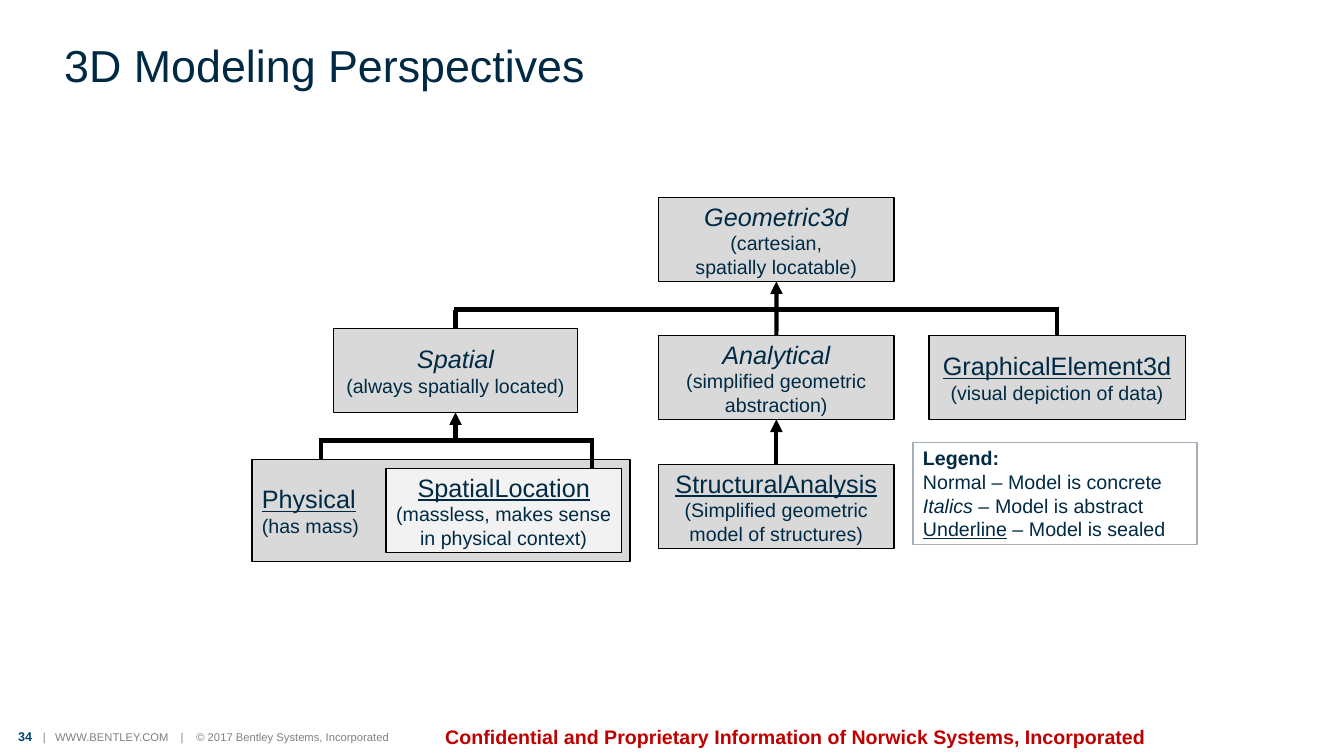
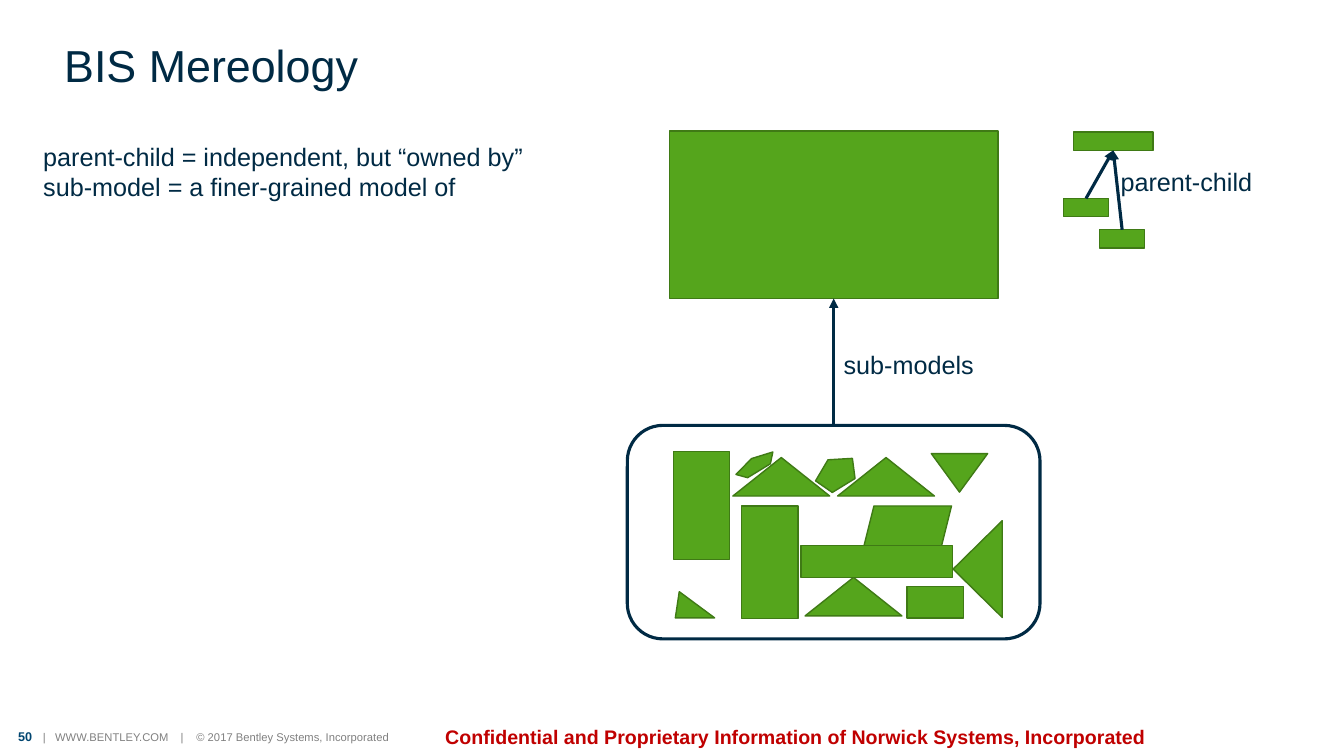
from lxml import etree
from pptx import Presentation
from pptx import util as u
from pptx.dml.color import RGBColor
from pptx.enum import shapes, text
from pptx.oxml import ns


class Theme:
    font = "Arial"
    navy = RGBColor.from_string("002A44")
    black = RGBColor.from_string("000000")
    white = RGBColor.from_string("FFFFFF")
    gray = RGBColor.from_string("D9D9D9")
    pale = RGBColor.from_string("F2F2F2")
    frame = RGBColor.from_string("A6AFB7")
    green = RGBColor.from_string("55A51C")
    green_edge = RGBColor.from_string("3F7A15")
    # Run formats
    title = {"size": u.Pt(32)}
    body = {"size": u.Pt(18)}
    abstract = {"size": u.Pt(18), "italic": True}
    sealed = {"size": u.Pt(18), "underline": True}
    note = {"size": u.Pt(14)}
    note_bold = {"size": u.Pt(14), "bold": True}
    note_italic = {"size": u.Pt(14), "italic": True}
    note_underline = {"size": u.Pt(14), "underline": True}
    number = {"size": u.Pt(9), "bold": True, "color": RGBColor.from_string("004570")}
    footer = {"size": u.Pt(8), "color": RGBColor.from_string("808080")}
    warning = {"size": u.Pt(14), "bold": True, "color": RGBColor.from_string("C00000")}


LEFT, CENTER = text.PP_ALIGN.LEFT, text.PP_ALIGN.CENTER
TOP, MIDDLE = text.MSO_ANCHOR.TOP, text.MSO_ANCHOR.MIDDLE
KIND = shapes.MSO_SHAPE


def block(slide, box, paragraphs=(), kind=None, fill=None, edge=None, weight=1,
          align=LEFT, anchor=TOP, tabs=()):
    """Add a shape, or a text box if no kind is given; box is in centimetres."""
    place = [u.Cm(value) for value in box]
    if kind is None:
        item = slide.shapes.add_textbox(*place)
    else:
        item = slide.shapes.add_shape(kind, *place)
        item.shadow.inherit = False
        if fill is None:
            item.fill.background()
        else:
            item.fill.solid()
            item.fill.fore_color.rgb = fill
        item.line.color.rgb = edge
        item.line.width = u.Pt(weight)
    frame = item.text_frame
    frame.word_wrap = True
    frame.vertical_anchor = anchor
    for index, runs in enumerate(paragraphs):
        paragraph = frame.add_paragraph() if index else frame.paragraphs[0]
        paragraph.alignment = align
        if tabs:
            stops = etree.SubElement(paragraph._p.get_or_add_pPr(), ns.qn("a:tabLst"))
            for stop in tabs:
                etree.SubElement(stops, ns.qn("a:tab"), pos=str(u.Cm(stop)), algn="l")
        for words, style in runs:
            run = paragraph.add_run()
            run.text = words
            run.font.name = Theme.font
            run.font.color.rgb = style.get("color", Theme.navy)
            for name, value in style.items():
                if name != "color":
                    setattr(run.font, name, value)
    return item


def link(slide, begin, end, color, weight, arrow=False, begin_on=None, end_on=None):
    """Draw a straight line in centimetres, joined to (shape, side) where given."""
    line = slide.shapes.add_connector(
        shapes.MSO_CONNECTOR.STRAIGHT, *[u.Cm(value) for value in (*begin, *end)])
    if begin_on:
        line.begin_connect(*begin_on)
    if end_on:
        line.end_connect(*end_on)
    line.line.color.rgb = color
    line.line.width = u.Pt(weight)
    if arrow:
        etree.SubElement(line.line._get_or_add_ln(), ns.qn("a:tailEnd"), type="triangle")
    etree.SubElement(line._element.spPr, ns.qn("a:effectLst"))


deck = Presentation()
deck.slide_width, deck.slide_height = u.Cm(33.87), u.Cm(19.05)

# Title and footers on every slide
slides = []
for number, heading in (("34", "3D Modeling Perspectives"), ("50", "BIS Mereology")):
    slide = deck.slides.add_slide(deck.slide_layouts[6])
    slides.append(slide)
    imprint = block(
        slide, (0.13, 18.19, 15.9, 0.74),
        [[(number, Theme.number),
          ("\t|\tWWW.BENTLEY.COM\t|\t© 2017 Bentley Systems, Incorporated", Theme.footer)]],
        tabs=(0.62, 0.93, 4.09, 4.49))
    for side, inset in {"left": 0.33, "right": 0.33, "top": 0.18, "bottom": 0.18}.items():
        setattr(imprint.text_frame, "margin_" + side, u.Cm(inset))
    block(slide, (10.9, 18.14, 18.31, 0.86),
          [[("Confidential and Proprietary Information of Norwick Systems, Incorporated",
             Theme.warning)]], align=CENTER)
    title = block(slide, (1.37, 0.66, 31.04, 2.11), [[(heading, Theme.title)]], anchor=MIDDLE)
    title.text_frame.paragraphs[0].line_spacing = 0.9

perspectives, mereology = slides

# Model classes
models = {}
for name, style, notes, box, fill, align in (
    ("Geometric3d", Theme.abstract, ["(cartesian,", "spatially locatable)"],
     (16.6, 4.98, 5.93, 2.11), Theme.gray, CENTER),
    ("Spatial", Theme.abstract, ["(always spatially located)"],
     (8.4, 8.28, 6.16, 2.11), Theme.gray, CENTER),
    ("Analytical", Theme.abstract, ["(simplified geometric abstraction)"],
     (16.6, 8.46, 5.93, 2.11), Theme.gray, CENTER),
    ("GraphicalElement3d", Theme.sealed, ["(visual depiction of data)"],
     (23.41, 8.46, 6.46, 2.11), Theme.gray, CENTER),
    ("Physical", Theme.sealed, ["(has mass)"],
     (6.35, 11.58, 9.53, 2.57), Theme.gray, LEFT),
    ("SpatialLocation", Theme.sealed, ["(massless, makes sense in physical context)"],
     (9.73, 11.81, 5.93, 2.11), Theme.pale, CENTER),
    ("StructuralAnalysis", Theme.sealed, ["(Simplified geometric model of structures)"],
     (16.6, 11.71, 5.93, 2.11), Theme.gray, CENTER),
):
    lines = [[(name, style)]] + [[(note, Theme.note)] for note in notes]
    models[name] = block(perspectives, box, lines, KIND.RECTANGLE, fill, Theme.black,
                         align=align, anchor=MIDDLE)

# Inheritance trees: a bus with an arrow to the base and a drop to each subclass
half_line = 0.05
for base, base_x, bus_y, drops in (
    ("Geometric3d", 19.57, 7.8,
     [("Spatial", 11.48), ("Analytical", 19.57), ("GraphicalElement3d", 26.64)]),
    ("Spatial", 11.48, 11.1, [("Physical", 8.08), ("SpatialLocation", 14.91)]),
):
    ends = [x for _, x in drops]
    link(perspectives, (ends[0] - half_line, bus_y), (ends[-1] + half_line, bus_y),
         Theme.black, 3)
    link(perspectives, (base_x, bus_y), (base_x, bus_y), Theme.black, 3, arrow=True,
         end_on=(models[base], 2))
    for name, x in drops:
        centered = bus_y == 7.8
        link(perspectives, (x, bus_y), (x, models[name].top.cm), Theme.black, 3,
             end_on=(models[name], 0) if centered else None)
link(perspectives, (19.57, 11.71), (19.57, 10.57), Theme.black, 3, arrow=True,
     begin_on=(models["StructuralAnalysis"], 0), end_on=(models["Analytical"], 2))

# Legend
block(perspectives, (23.01, 11.15, 7.16, 2.57), [
    [("Legend:", Theme.note_bold)],
    [("Normal", Theme.note), (" – ", Theme.note_italic), ("Model is concrete", Theme.note)],
    [("Italics – ", Theme.note_italic), ("Model is abstract", Theme.note)],
    [("Underline", Theme.note_underline), (" – ", Theme.note_italic),
     ("Model is sealed", Theme.note)],
], KIND.RECTANGLE, Theme.white, Theme.frame, anchor=MIDDLE)

# Whole element and the sub-model frame
whole = block(mereology, (16.87, 3.3, 8.28, 4.22), (), KIND.RECTANGLE,
              Theme.green, Theme.green_edge)
submodel = block(mereology, (15.81, 10.72, 10.4, 5.38), (), KIND.ROUNDED_RECTANGLE,
                 None, Theme.navy, 2.25)
link(mereology, (21.01, 10.72), (21.01, 7.52), Theme.navy, 2.25, arrow=True,
     begin_on=(submodel, 0), end_on=(whole, 2))

# Finer-grained pieces: kind, box, rotation, adjustment
for kind, box, rotation, adjustment in (
    (KIND.RECTANGLE, (16.97, 11.38, 1.42, 2.72), 0, None),
    (KIND.ISOSCELES_TRIANGLE, (18.47, 11.53, 2.44, 0.97), 0, None),
    (KIND.ISOSCELES_TRIANGLE, (21.11, 11.53, 2.44, 0.97), 0, None),
    (KIND.REGULAR_PENTAGON, (20.52, 11.53, 1.09, 0.76), 328.6, None),
    (KIND.REGULAR_PENTAGON, (18.49, 11.53, 1.09, 0.36), 328.6, None),
    (KIND.RECTANGLE, (18.69, 12.75, 1.42, 2.84), 0, None),
    (KIND.ISOSCELES_TRIANGLE, (20.29, 14.55, 2.44, 0.97), 0, None),
    (KIND.ISOSCELES_TRIANGLE, (23.42, 13.72, 2.44, 1.24), 270, None),
    (KIND.ISOSCELES_TRIANGLE, (17.02, 14.91, 0.99, 0.66), 0, 0.1),
    (KIND.PARALLELOGRAM, (21.77, 12.75, 2.21, 1.02), 0, None),
    (KIND.RECTANGLE, (22.86, 14.78, 1.42, 0.79), 0, None),
    (KIND.ISOSCELES_TRIANGLE, (23.47, 11.43, 1.42, 0.97), 180, None),
    (KIND.RECTANGLE, (20.19, 13.74, 3.81, 0.81), 0, None),
):
    piece = block(mereology, box, (), kind, Theme.green, Theme.green_edge)
    piece.rotation = rotation
    if adjustment is not None:
        piece.adjustments[0] = adjustment

# Parent with its children
parent, *children = [
    block(mereology, (left, top, width, 0.46), (), KIND.RECTANGLE,
          Theme.green, Theme.green_edge)
    for left, top, width in ((27.05, 3.33, 2.01), (26.8, 5, 1.14), (27.71, 5.79, 1.14))]
for child in children:
    link(mereology, (child.left.cm, child.top.cm), (28.05, 3.79), Theme.navy, 2.25,
         arrow=True, begin_on=(child, 0), end_on=(parent, 2))

# Labels and definitions
for box, lines in (
    ((21.01, 8.69, 4.8, 1.02), ["sub-models"]),
    ((27.99, 4.06, 4.45, 1.02), ["parent-child"]),
    ((0.84, 3.43, 13.74, 1.8), ["parent-child = independent, but “owned by”",
                                "sub-model = a finer-grained model of"]),
):
    block(mereology, box, [[(line, Theme.body)] for line in lines])

deck.save("out.pptx")
